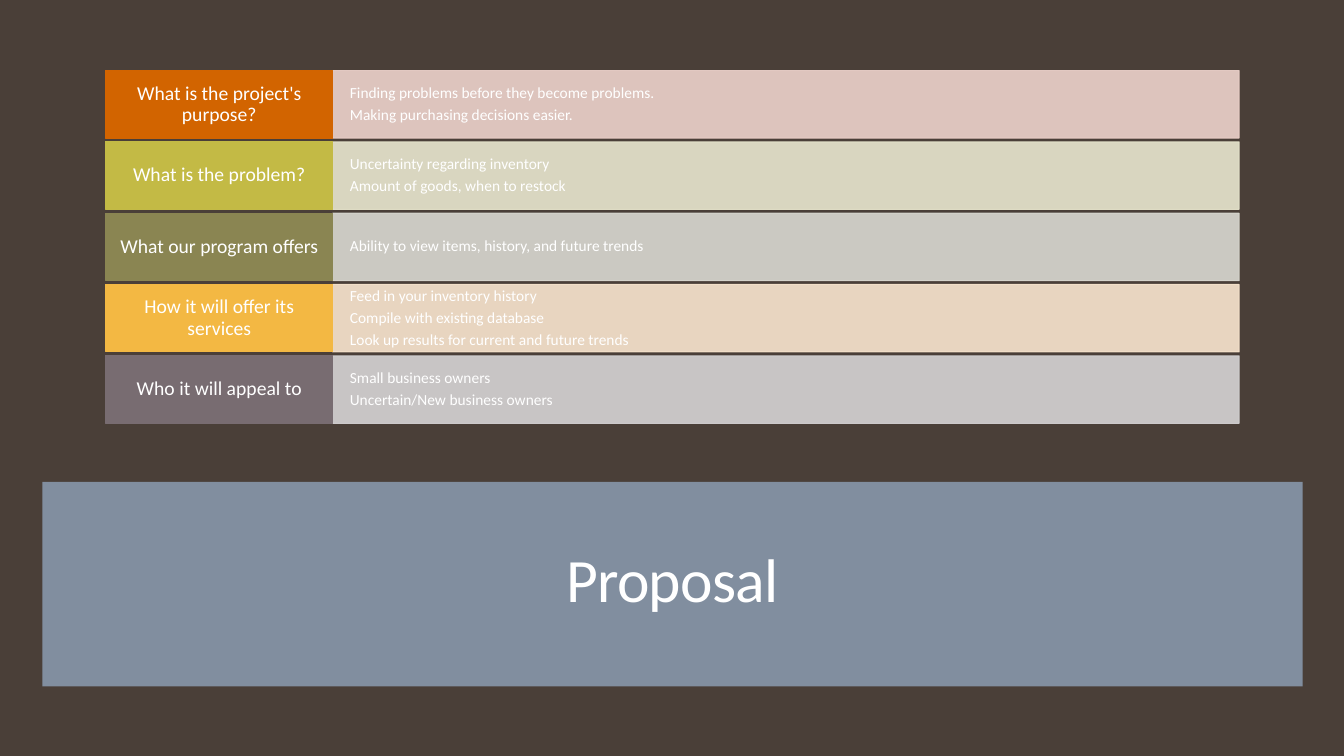
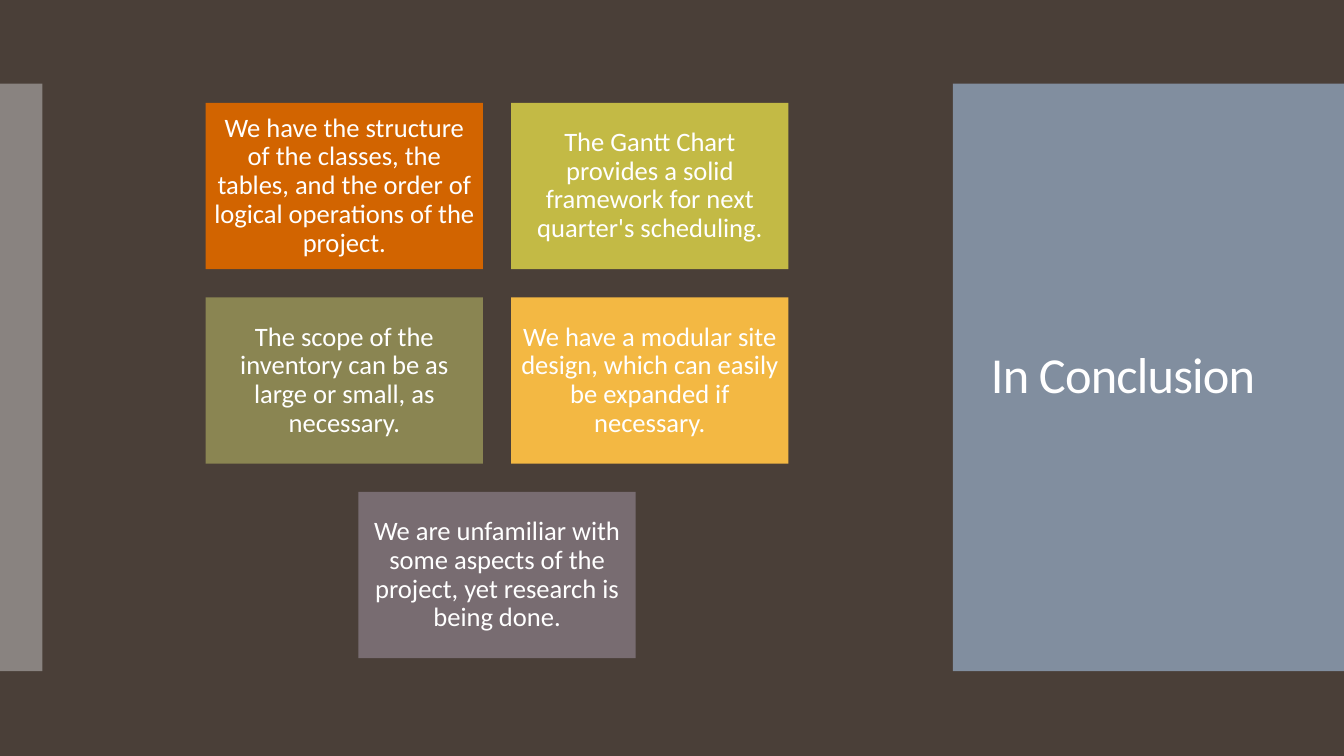
from lxml.etree import SubElement
from pptx import Presentation
from pptx.dml.color import RGBColor
from pptx.enum.shapes import MSO_SHAPE
from pptx.enum.text import MSO_ANCHOR, PP_ALIGN
from pptx.oxml.ns import qn
from pptx.util import Inches, Pt

FONT = "Calibri"
COLORS = {
    "background": "4A3F38",
    "panel": "818E9F",
    "strip": "C8C8C8",
    "text": "FFFFFF",
    "orange": "D26400",
    "lime": "C3BA45",
    "olive": "8A8552",
    "amber": "F3B843",
    "mauve": "786C71",
    "orange_tint": "EED3CC",
    "lime_tint": "E9E7CF",
    "olive_tint": "DAD9D1",
    "amber_tint": "FAE6CF",
    "mauve_tint": "D6D4D5",
}
ACCENTS = ["orange", "lime", "olive", "amber", "mauve"]

PROPOSAL = [
    ("What is the project's purpose?",
     ["Finding problems before they become problems.",
      "Making purchasing decisions easier."]),
    ("What is the problem?",
     ["Uncertainty regarding inventory",
      "Amount of goods, when to restock"]),
    ("What our program offers",
     ["Ability to view items, history, and future trends"]),
    ("How it will offer its services",
     ["Feed in your inventory history",
      "Compile with existing database",
      "Look up results for current and future trends"]),
    ("Who it will appeal to",
     ["Small business owners",
      "Uncertain/New business owners"]),
]
CONCLUSIONS = [
    "We have the structure of the classes, the tables, and the order of "
    "logical operations of the project.",
    "The Gantt Chart provides a solid framework for next quarter's scheduling.",
    "The scope of the inventory can be as large or small, as necessary.",
    "We have a modular site design, which can easily be expanded if necessary.",
    "We are unfamiliar with some aspects of the project, yet research is "
    "being done.",
]


def color(name):
    return RGBColor.from_string(COLORS[name])


def add_rect(s, box, fill, alpha=100, outlined=False):
    sp = s.shapes.add_shape(MSO_SHAPE.RECTANGLE, *map(Inches, box))
    sp.shadow.inherit = False
    sp.fill.solid()
    sp.fill.fore_color.rgb = color(fill)
    if outlined:
        sp.line.color.rgb = color(fill)
        sp.line.width = Pt(0.75)
    else:
        sp.line.fill.background()
    if alpha < 100:
        for clr in list(sp._element.spPr.iter(qn("a:srgbClr"))):
            SubElement(clr, qn("a:alpha")).set("val", str(alpha * 1000))
    return sp


def set_text(sp, lines, size, align=PP_ALIGN.CENTER, inset=(0.1, 0.05),
             space_after=0.35, tracking=0):
    tf = sp.text_frame
    tf.word_wrap = True
    tf.vertical_anchor = MSO_ANCHOR.MIDDLE
    tf.margin_left = tf.margin_right = Inches(inset[0])
    tf.margin_top = tf.margin_bottom = Inches(inset[1])
    for i, line in enumerate(lines):
        p = tf.add_paragraph() if i else tf.paragraphs[0]
        p.alignment = align
        p.line_spacing = 0.9
        p.space_after = Pt(round(size * space_after, 1))
        r = p.add_run()
        r.text = line
        r.font.name = FONT
        r.font.size = Pt(size)
        r.font.color.rgb = color("text")
        if tracking:
            r._r.get_or_add_rPr().set("spc", str(tracking))


def add_slide(prs):
    s = prs.slides.add_slide(prs.slide_layouts[6])
    s.background.fill.solid()
    s.background.fill.fore_color.rgb = color("background")
    return s


def add_title_panel(s, panel, box, title, size, align):
    add_rect(s, panel, "panel")
    tb = s.shapes.add_textbox(*map(Inches, box))
    set_text(tb, [title], size, align, space_after=0, tracking=-60)


def add_question_rows(s, box, rows, label_w=2.25, row_h=0.67):
    x, y, w, h = box
    pitch = (h - row_h) / (len(rows) - 1)
    for i, ((question, answers), accent) in enumerate(zip(rows, ACCENTS)):
        top = y + i * pitch
        answer = add_rect(s, (x + label_w, top, w - label_w, row_h),
                          accent + "_tint", 90, outlined=True)
        set_text(answer, answers, 11, PP_ALIGN.LEFT, (0.17, 0.17))
        label = add_rect(s, (x, top, label_w, row_h), accent, outlined=True)
        set_text(label, [question], 14, inset=(0.12, 0.07))


def add_card_grid(s, box, texts, cols=2, card_w=2.75, card_h=1.65, gap=0.28):
    x, y, w = box
    for i, (text, accent) in enumerate(zip(texts, ACCENTS)):
        row, col = divmod(i, cols)
        in_row = min(cols, len(texts) - row * cols)
        row_w = in_row * card_w + (in_row - 1) * gap
        left = x + (w - row_w) / 2 + col * (card_w + gap)
        card = add_rect(s, (left, y + row * (card_h + gap), card_w, card_h),
                        accent)
        set_text(card, [text], 19, inset=(0.08, 0.08))


def proposal_slide(prs):
    s = add_slide(prs)
    add_title_panel(s, (0.42, 4.78, 12.5, 2.03), (0.61, 5.03, 12.12, 1.49),
                    "Proposal", 44, PP_ALIGN.CENTER)
    add_question_rows(s, (1.05, 0.7, 11.24, 3.5), PROPOSAL)


def conclusion_slide(prs):
    s = add_slide(prs)
    add_title_panel(s, (9.45, 0.83, 3.88, 5.83), (9.73, 1.23, 3.22, 5.03),
                    "In Conclusion", 36, PP_ALIGN.LEFT)
    add_rect(s, (0, 0.83, 0.42, 5.83), "strip", 50)
    add_card_grid(s, (2.04, 1.02, 5.78), CONCLUSIONS)


def main():
    prs = Presentation()
    prs.slide_width = Inches(13.33)
    prs.slide_height = Inches(7.5)
    proposal_slide(prs)
    conclusion_slide(prs)
    prs.save("out.pptx")


if __name__ == "__main__":
    main()
